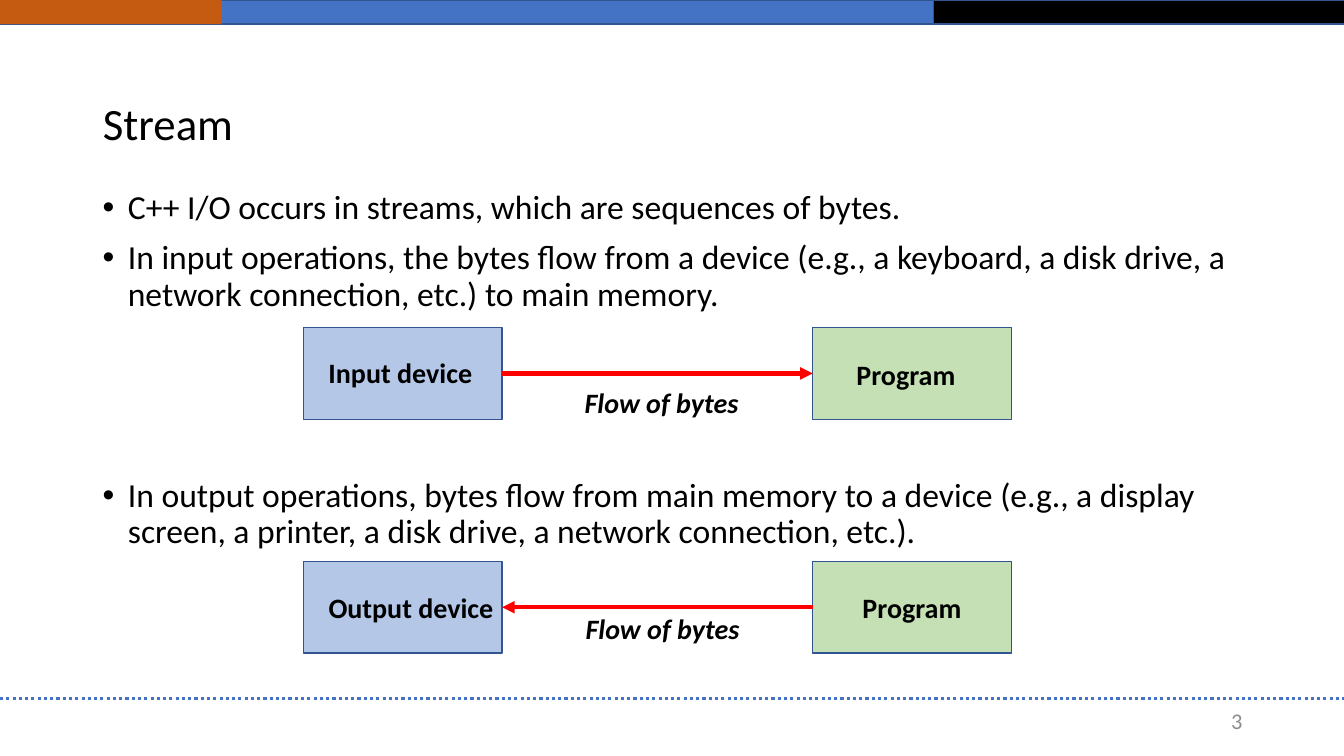
from lxml.etree import SubElement
from pptx import Presentation
from pptx.dml.color import RGBColor
from pptx.enum.dml import MSO_LINE
from pptx.enum.shapes import MSO_CONNECTOR, MSO_SHAPE
from pptx.enum.text import MSO_ANCHOR, PP_ALIGN
from pptx.oxml.ns import qn
from pptx.util import Inches, Pt

COLORS = {"blue": "4472C4", "edge": "325491", "black": "000000", "orange": "C55A11",
          "grey": "8C8C8C", "device": "B4C7E7", "program": "C5E0B4", "red": "FF0000"}
TITLE = "Stream"
PAGE = "3"
BANDS = [(0, 9.26, "blue", "edge"), (9.26, 4.08, "black", "edge"), (0, 2.2, "orange", None)]
BULLETS = [
    ("C++ I/O occurs in streams, which are sequences of bytes.", 10),
    ("In input operations, the bytes flow from a device (e.g., a keyboard, a disk drive, "
     "a network connection, etc.) to main memory.", 10),
    ("In output operations, bytes flow from main memory to a device (e.g., a display screen, "
     "a printer, a disk drive, a network connection, etc.).", 118),
]
FLOWS = [
    {"top": 3.25, "to_program": True, "labels": [
        ("Input device", 3.16, 3.48, 1.64, False),
        ("Program", 8.39, 3.5, 1.19, False),
        ("Flow of bytes", 5.7, 3.78, 1.74, True)]},
    {"top": 5.57, "to_program": False, "labels": [
        ("Output device", 3.16, 5.81, 1.85, False),
        ("Program", 8.45, 5.81, 1.19, False),
        ("Flow of bytes", 5.71, 6.02, 1.74, True)]},
]
DEVICE_X, PROGRAM_X, BOX_W, BOX_H = 3.01, 8.06, 1.97, 0.91
LEFT, RIGHT = 1, 3

prs = Presentation()
prs.slide_width, prs.slide_height = Inches(13.33), Inches(7.5)
slide = prs.slides.add_slide(prs.slide_layouts[5])


def rgb(name):
    return RGBColor.from_string(COLORS[name])


def write(p, text, color="black", **font):
    r = p.add_run()
    r.text = text
    r.font.color.rgb = rgb(color)
    for key, value in {"name": "Calibri", **font}.items():
        setattr(r.font, key, value)


def add_text(x, y, w, h, wrap=True):
    tf = slide.shapes.add_textbox(*map(Inches, (x, y, w, h))).text_frame
    tf.word_wrap = wrap
    return tf


def add_rect(x, y, w, h, fill, edge="edge"):
    sp = slide.shapes.add_shape(MSO_SHAPE.RECTANGLE, *map(Inches, (x, y, w, h)))
    sp.shadow.inherit = False
    sp.fill.solid()
    sp.fill.fore_color.rgb = rgb(fill)
    if edge:
        sp.line.color.rgb = rgb(edge)
        sp.line.width = Pt(1)
    else:
        sp.line.fill.background()
    return sp


def add_line(x1, y1, x2, y2, color, width):
    line = slide.shapes.add_connector(MSO_CONNECTOR.STRAIGHT, *map(Inches, (x1, y1, x2, y2)))
    line.line.color.rgb = rgb(color)
    line.line.width = Pt(width)
    SubElement(line._element.spPr, qn("a:effectLst"))
    return line


for x, w, fill, edge in BANDS:
    add_rect(x, 0, w, 0.24, fill, edge)
add_line(0, 6.93, 13.33, 6.93, "blue", 2.25).line.dash_style = MSO_LINE.ROUND_DOT

title = slide.shapes.title
title.left, title.top, title.width, title.height = map(Inches, (0.92, 0.83, 11.5, 0.84))
title.text_frame.vertical_anchor = MSO_ANCHOR.MIDDLE
p = title.text_frame.paragraphs[0]
p.alignment, p.line_spacing = PP_ALIGN.LEFT, 0.9
write(p, TITLE, size=Pt(32))

tf = add_text(9.42, 6.95, 3, 0.4)
tf.vertical_anchor = MSO_ANCHOR.MIDDLE
tf.paragraphs[0].alignment = PP_ALIGN.RIGHT
write(tf.paragraphs[0], PAGE, "grey", size=Pt(16))

tf = add_text(0.92, 1.84, 11.5, 5)
for i, (text, space) in enumerate(BULLETS):
    p = tf.add_paragraph() if i else tf.paragraphs[0]
    p.line_spacing, p.space_before = 0.9, Pt(space)
    pPr = p._p.get_or_add_pPr()
    pPr.set("marL", str(Inches(0.25)))
    pPr.set("indent", str(-Inches(0.25)))
    SubElement(pPr, qn("a:buFont"), typeface="Arial")
    SubElement(pPr, qn("a:buChar"), char="•")
    write(p, text, size=Pt(24))

for flow in FLOWS:
    device = add_rect(DEVICE_X, flow["top"], BOX_W, BOX_H, "device")
    program = add_rect(PROGRAM_X, flow["top"], BOX_W, BOX_H, "program")
    ends = [(device, RIGHT), (program, LEFT)]
    start, end = ends if flow["to_program"] else ends[::-1]
    arrow = add_line(0, 0, 1, 1, "red", 3)
    arrow.begin_connect(*start)
    arrow.end_connect(*end)
    SubElement(arrow.line._get_or_add_ln(), qn("a:tailEnd"), type="triangle")
    for text, x, y, w, italic in flow["labels"]:
        p = add_text(x, y, w, 0.44, wrap=False).paragraphs[0]
        p.alignment = PP_ALIGN.CENTER if text == "Program" else PP_ALIGN.LEFT
        write(p, text, size=Pt(20), bold=True, italic=italic)

prs.save("out.pptx")
